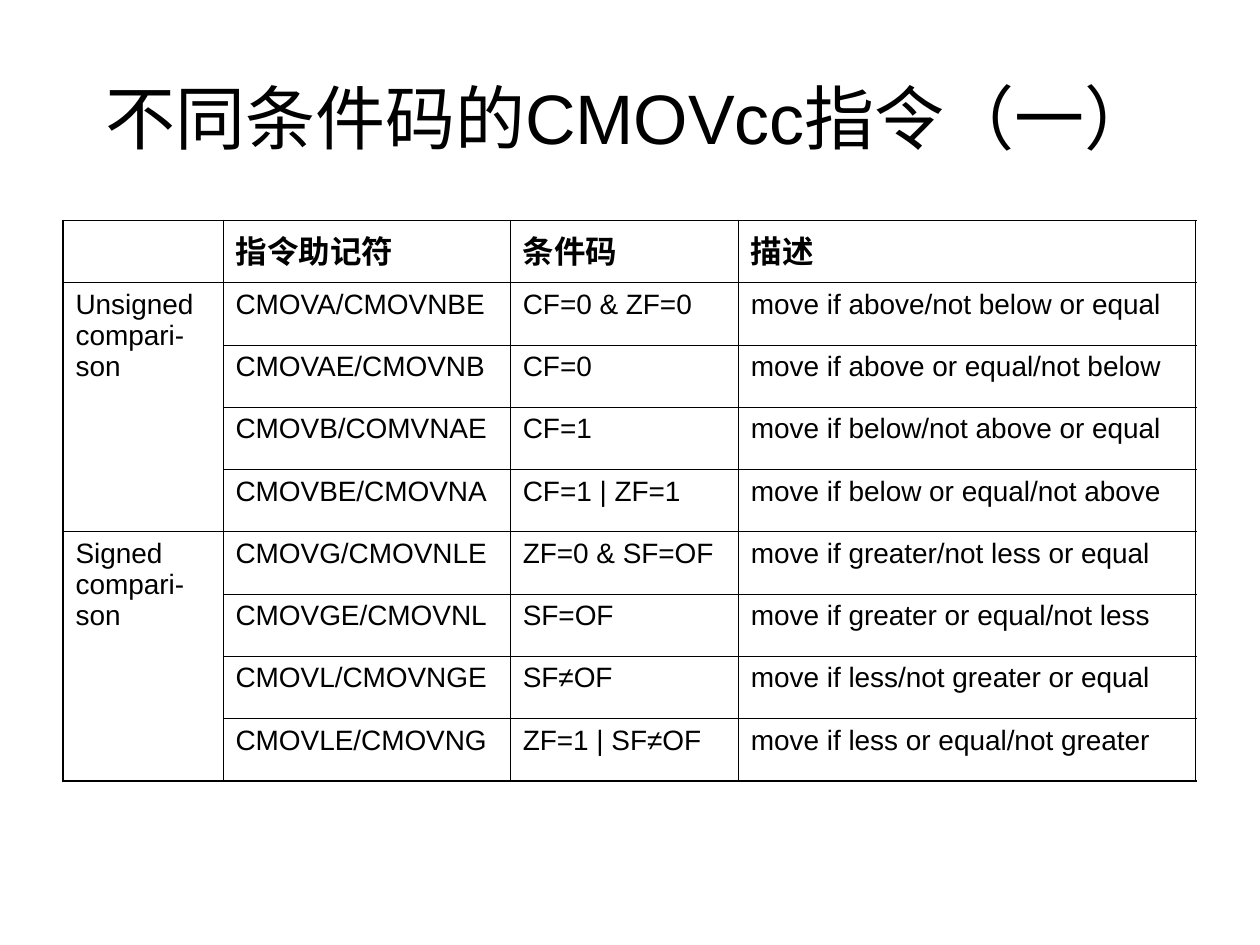
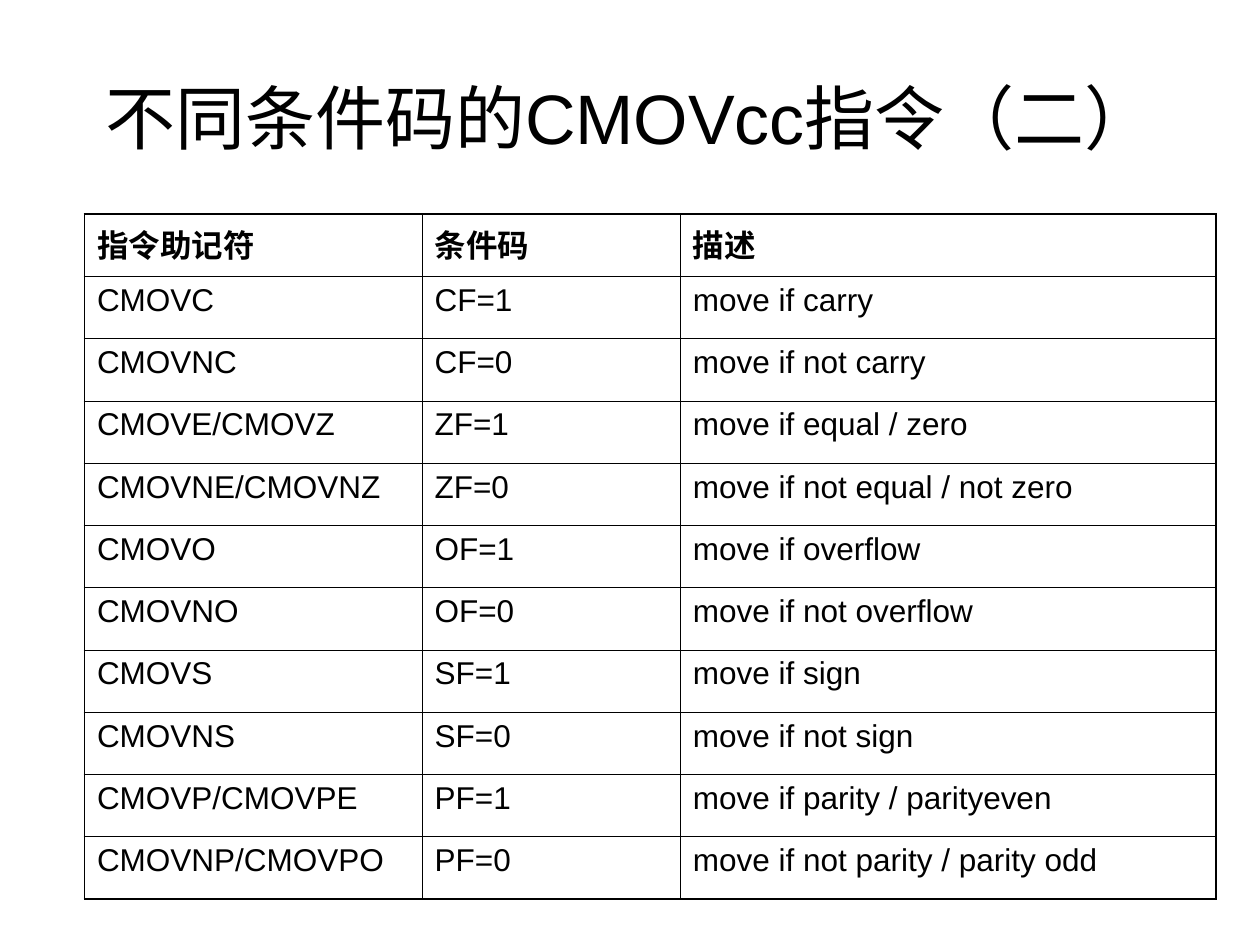
from lxml import etree
from pptx import Presentation
from pptx.dml.color import RGBColor
from pptx.enum.text import MSO_ANCHOR, PP_ALIGN
from pptx.oxml.ns import qn
from pptx.util import Inches, Pt

CENTER = PP_ALIGN.CENTER
MIDDLE = MSO_ANCHOR.MIDDLE
BLACK = RGBColor(0x00, 0x00, 0x00)
FONT = "Arial"
TITLE_SIZE, HEADER_SIZE = 40, 18
INNER_LINE, OUTER_LINE = 0.45, 1.08
ROW_HEIGHT = 4.45 / 9
HEADERS = ("指令助记符", "条件码", "描述")

COMPARISON_MOVES = [
    ("", *HEADERS),
    ("Unsigned compari-son", "CMOVA/CMOVNBE", "CF=0 & ZF=0", "move if above/not below or equal"),
    ("", "CMOVAE/CMOVNB", "CF=0", "move if above or equal/not below"),
    ("", "CMOVB/COMVNAE", "CF=1", "move if below/not above or equal"),
    ("", "CMOVBE/CMOVNA", "CF=1 | ZF=1", "move if below or equal/not above"),
    ("Signed compari-son", "CMOVG/CMOVNLE", "ZF=0 & SF=OF", "move if greater/not less or equal"),
    ("", "CMOVGE/CMOVNL", "SF=OF", "move if greater or equal/not less"),
    ("", "CMOVL/CMOVNGE", "SF≠OF", "move if less/not greater or equal"),
    ("", "CMOVLE/CMOVNG", "ZF=1 | SF≠OF", "move if less or equal/not greater"),
]
COMPARISON_GROUPS = [(1, 4), (5, 8)]

FLAG_MOVES = [
    HEADERS,
    ("CMOVC", "CF=1", "move if carry"),
    ("CMOVNC", "CF=0", "move if not carry"),
    ("CMOVE/CMOVZ", "ZF=1", "move if equal / zero"),
    ("CMOVNE/CMOVNZ", "ZF=0", "move if not equal / not zero"),
    ("CMOVO", "OF=1", "move if overflow"),
    ("CMOVNO", "OF=0", "move if not overflow"),
    ("CMOVS", "SF=1", "move if sign"),
    ("CMOVNS", "SF=0", "move if not sign"),
    ("CMOVP/CMOVPE", "PF=1", "move if parity / parityeven"),
    ("CMOVNP/CMOVPO", "PF=0", "move if not parity / parity odd"),
]


def style_font(paragraph, size, bold=False):
    """Give a paragraph the shared typeface and colour."""
    font = paragraph.font
    font.name, font.size, font.bold = FONT, Pt(size), bold
    font.color.rgb = BLACK


def add_titled_slide(deck, title):
    """Add a blank slide with a centred title."""
    slide = deck.slides.add_slide(deck.slide_layouts[6])
    box = slide.shapes.add_textbox(Inches(0.5), Inches(0.3), Inches(9), Inches(1.25))
    frame = box.text_frame
    frame.word_wrap = True
    frame.vertical_anchor = MIDDLE
    frame.text = title
    heading = frame.paragraphs[0]
    heading.alignment = CENTER
    style_font(heading, TITLE_SIZE)
    return slide


def draw_borders(cell, outer_edges):
    """Rule a cell, heavier where it meets the table outline."""
    properties = cell._tc.get_or_add_tcPr()
    for edge in "LRTB":
        weight = OUTER_LINE if edge in outer_edges else INNER_LINE
        line = etree.SubElement(properties, qn(f"a:ln{edge}"), w=str(Pt(weight)))
        fill = etree.SubElement(line, qn("a:solidFill"))
        etree.SubElement(fill, qn("a:srgbClr"), val=str(BLACK))


def fill_cell(cell, text, size, bold):
    """Write a cell's text on a clear background."""
    cell.fill.background()
    cell.text = text
    paragraph = cell.text_frame.paragraphs[0]
    paragraph.space_before = Pt(size / 4)
    style_font(paragraph, size, bold)


def add_move_table(slide, left, top, widths, rows, body_size, groups=()):
    """Add an instruction table, merging first-column row groups."""
    frame = slide.shapes.add_table(
        len(rows), len(widths), Inches(left), Inches(top),
        Inches(sum(widths)), Inches(ROW_HEIGHT * len(rows)))
    table = frame.table
    table.first_row = table.horz_banding = False
    for column, width in zip(table.columns, widths):
        column.width = Inches(width)
    for first, last in groups:
        table.cell(first, 0).merge(table.cell(last, 0))
    for r, row in enumerate(rows):
        for c, text in enumerate(row):
            cell = table.cell(r, c)
            outline = {
                "L": c == 0,
                "R": c == len(widths) - 1,
                "T": r == 0,
                "B": r + cell.span_height == len(rows),
            }
            draw_borders(cell, [edge for edge, outer in outline.items() if outer])
            fill_cell(cell, text, HEADER_SIZE if r == 0 else body_size, r == 0)


def main():
    """Build the two slides of conditional move instructions."""
    deck = Presentation()
    deck.slide_width, deck.slide_height = Inches(10), Inches(7.5)

    comparisons = add_titled_slide(deck, "不同条件码的CMOVcc指令（一）")
    add_move_table(comparisons, 0.5, 1.75, (1.27, 2.28, 1.81, 3.63),
                   COMPARISON_MOVES, 16, COMPARISON_GROUPS)

    flags = add_titled_slide(deck, "不同条件码的CMOVcc指令（二）")
    add_move_table(flags, 0.67, 1.7, (2.68, 2.05, 4.25), FLAG_MOVES, 18)

    deck.save("out.pptx")


if __name__ == "__main__":
    main()
